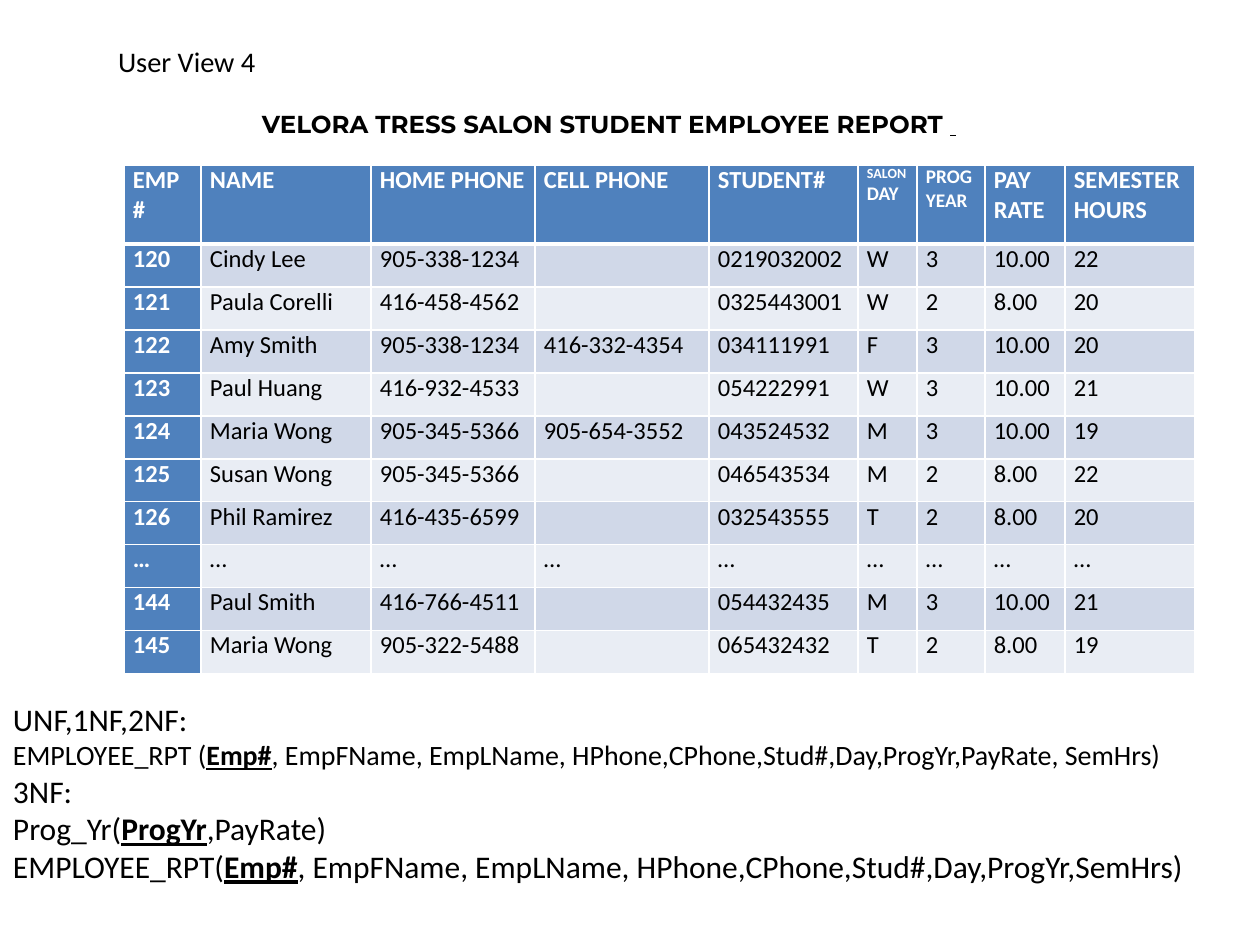
"""Build the student employee report slide with its normal forms."""
from lxml import etree
from pptx import Presentation
from pptx import util as u
from pptx.dml.color import RGBColor
from pptx.enum import text
from pptx.oxml.ns import qn

PX = 914400 / 126
BLACK, WHITE, BLUE = "000000", "FFFFFF", "4F81BD"
BANDS = ["D0D8E8", "E9EDF4"]
KEY = {"bold": True, "line": True}

COLS = [77, 170, 164, 174, 149, 59, 68, 80, 130]
HEAD_H, ROW_H = 79, 43
HEAD = [
    "EMP #", "NAME", "HOME PHONE", "CELL PHONE", "STUDENT#",
    [[("SALON", {"size": 8}), ("\n", {}), ("DAY", {"size": 11})]],
    [[("PROG", {"size": 11})], [("YEAR", {"size": 11})]],
    "PAY RATE", "SEMESTER HOURS",
]
ROWS = [
    ("120", "Cindy Lee", "905-338-1234", "", "0219032002", "W", "3", "10.00", "22"),
    ("121", "Paula Corelli", "416-458-4562", "", "0325443001", "W", "2", "8.00", "20"),
    ("122", "Amy Smith", "905-338-1234", "416-332-4354", "034111991", "F", "3", "10.00", "20"),
    ("123", "Paul Huang", "416-932-4533", "", "054222991", "W", "3", "10.00", "21"),
    ("124", "Maria Wong", "905-345-5366", "905-654-3552", "043524532", "M", "3", "10.00", "19"),
    ("125", "Susan Wong", "905-345-5366", "", "046543534", "M", "2", "8.00", "22"),
    ("126", "Phil Ramirez", "416-435-6599", "", "032543555", "T", "2", "8.00", "20"),
    ("…",) * 9,
    ("144", "Paul Smith", "416-766-4511", "", "054432435", "M", "3", "10.00", "21"),
    ("145", "Maria Wong", "905-322-5488", "", "065432432", "T", "2", "8.00", "19"),
]
TITLE = [[("VELORA TRESS SALON STUDENT EMPLOYEE REPORT ", {"bold": True}),
          (" ", {"size": 12, "bold": True, "line": True})]]
FORMS = [
    [("UNF,1NF,2NF:", {})],
    [("EMPLOYEE_RPT (", {"size": 16}), ("Emp#", {"size": 16, **KEY}),
     (", EmpFName, EmpLName, HPhone,CPhone,Stud#,Day,ProgYr,PayRate, SemHrs)", {"size": 16})],
    [("3NF:", {})],
    [("Prog_Yr(", {}), ("ProgYr", KEY), (",PayRate)", {})],
    [("EMPLOYEE_RPT(", {}), ("Emp#", KEY),
     (", EmpFName, EmpLName, HPhone,CPhone,Stud#,Day,ProgYr,SemHrs)", {})],
]


def px(n):
    return u.Emu(round(n * PX))


def rgb(hue):
    return RGBColor.from_string(hue)


def style(font, size=14, face="Calibri", hue=BLACK, bold=False, line=False):
    font.size, font.name = u.Pt(size), face
    font.bold, font.underline = bold, line
    font.color.rgb = rgb(hue)


def write(frame, body, **form):
    """Write a string, or a list of paragraphs made of (text, format) runs."""
    paras = [[(body, {})]] if isinstance(body, str) else body
    for i, runs in enumerate(paras):
        para = frame.add_paragraph() if i else frame.paragraphs[0]
        for words, extra in runs:
            if words == "\n":
                para.add_line_break()
            elif words:
                run = para.add_run()
                run.text = words
                style(run.font, **{**form, **extra})
            else:
                style(para.font, **form)


def label(slide, box, body, mid=True, pad=13, **form):
    frame = slide.shapes.add_textbox(*map(px, box)).text_frame
    frame.word_wrap = True
    frame.margin_left = px(pad)
    if mid:
        frame.vertical_anchor = text.MSO_ANCHOR.MIDDLE
    write(frame, body, **form)


def border(cell, low):
    props = cell._tc.get_or_add_tcPr()
    for i, (side, width) in enumerate([("L", 1), ("R", 1), ("T", 1), ("B", low)]):
        edge = etree.Element(qn("a:ln" + side), w=str(u.Pt(width)))
        fill = etree.SubElement(edge, qn("a:solidFill"))
        etree.SubElement(fill, qn("a:srgbClr"), val=WHITE)
        props.insert(i, edge)


def report(slide, left, top):
    rows = [HEAD, *ROWS]
    tall = [HEAD_H] + [ROW_H] * len(ROWS)
    grid = slide.shapes.add_table(
        len(rows), len(COLS), *map(px, (left, top, sum(COLS), sum(tall)))).table
    grid.first_col = True
    for col, wide in zip(grid.columns, COLS):
        col.width = px(wide)
    for r, row in enumerate(rows):
        grid.rows[r].height = px(tall[r])
        for c, body in enumerate(row):
            cell = grid.cell(r, c)
            main = r == 0 or c == 0
            cell.margin_left = cell.margin_right = px(9)
            cell.margin_top = cell.margin_bottom = 0
            cell.fill.solid()
            cell.fill.fore_color.rgb = rgb(BLUE if main else BANDS[(r - 1) % 2])
            border(cell, 1 if r else 3)
            write(cell.text_frame, body, bold=main, hue=WHITE if main else BLACK)


def main():
    deck = Presentation()
    deck.slide_width, deck.slide_height = px(1260), px(945)
    slide = deck.slides.add_slide(deck.slide_layouts[6])
    label(slide, (105, 37, 1113, 48), "User View 4", size=16.2)
    report(slide, 124, 165)
    label(slide, (97, 102, 946, 43), TITLE, pad=165, face="Montserrat")
    label(slide, (0, 694, 1203, 276), FORMS, mid=False, size=18)
    deck.save("out.pptx")


if __name__ == "__main__":
    main()
